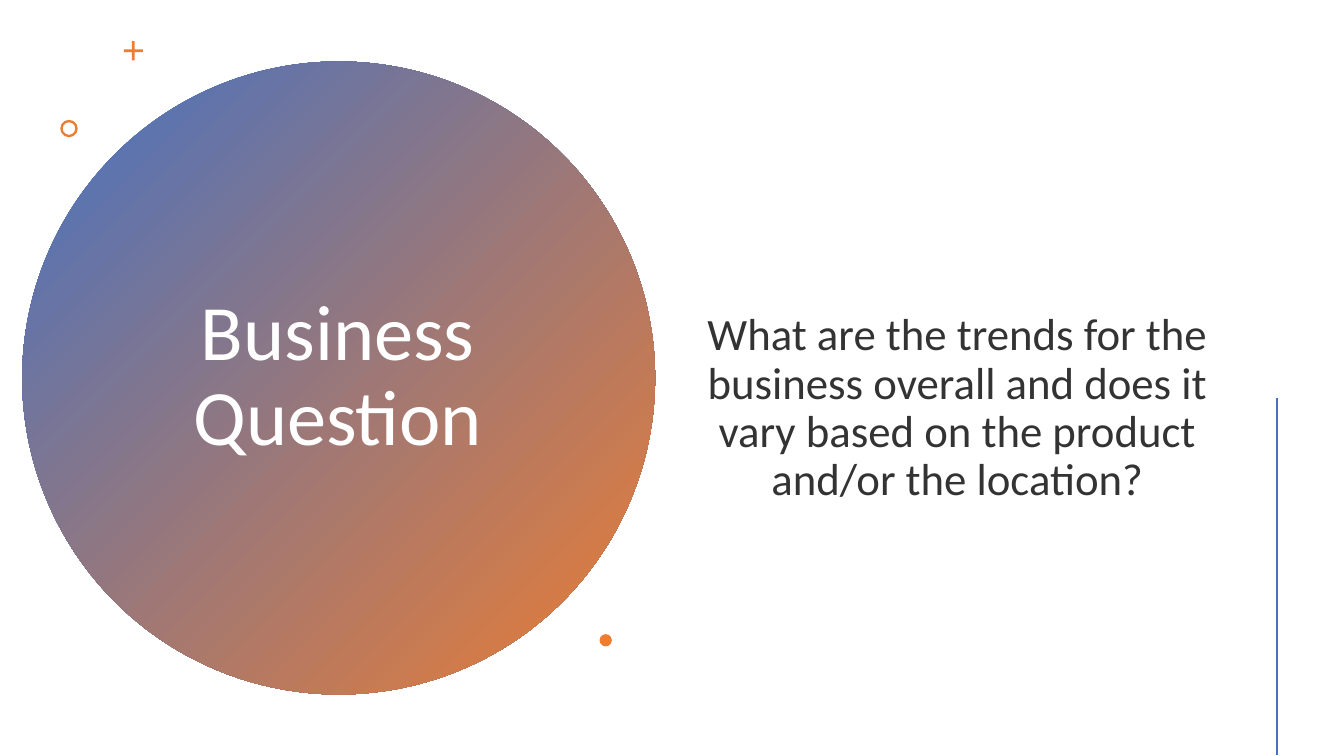
from lxml import etree
from pptx import Presentation
from pptx.dml.color import RGBColor
from pptx.enum.shapes import MSO_CONNECTOR, MSO_SHAPE as Preset
from pptx.enum.text import MSO_ANCHOR, MSO_AUTO_SIZE, PP_ALIGN
from pptx.oxml.ns import qn
from pptx.util import Cm, Pt

# Content (lengths in cm)
TITLE = "Business Question"
QUESTION = ("What are the trends for the business overall and does it "
            "vary based on the product and/or the location?")
BLUE, ORANGE, WHITE, INK = "4472C4", "ED7D31", "FFFFFF", "333333"
DISC = (0.56, 1.55, 15.95)  # left, top, diameter
TITLE_BOX = (3.45, 3.58, 10.13, 11.86)
QUESTION_BOX = (17.5, 7.3, 13.26, 6)
RULE = (32.18, 10.03, 32.18, 19.02)
ORNAMENTS = [  # preset, left, top, size, adjustment
    (Preset.CROSS, 3.12, 1.04, 0.48, 0.43),
    (Preset.DONUT, 1.52, 3.02, 0.44, 0.14),
    (Preset.OVAL, 15.11, 15.98, 0.31, None),
]


def rgb(code):
    return RGBColor.from_string(code)


def write(shape, text, size, color, font="Calibri", spacing=0.9):
    frame = shape.text_frame
    frame.word_wrap = True
    frame.auto_size = MSO_AUTO_SIZE.NONE
    frame.vertical_anchor = MSO_ANCHOR.MIDDLE
    paragraph = frame.paragraphs[0]
    paragraph.text = text
    paragraph.alignment = PP_ALIGN.CENTER
    paragraph.line_spacing = spacing
    paragraph.space_before = Pt(0)
    style = paragraph.font
    style.name, style.size, style.color.rgb = font, Pt(size), rgb(color)


def add_figure(preset, left, top, size):
    figure = slide.shapes.add_shape(preset, Cm(left), Cm(top), Cm(size), Cm(size))
    figure.shadow.inherit = False
    figure.line.fill.background()
    return figure


deck = Presentation()
deck.slide_width, deck.slide_height = Cm(33.87), Cm(19.05)
slide = deck.slides.add_slide(deck.slide_layouts[5])

# Gradient disc, blue at top left to orange at bottom right
disc = add_figure(Preset.OVAL, *DISC)
disc.fill.gradient()
disc.fill.gradient_angle = 315
for stop, position, color in zip(disc.fill.gradient_stops, (0, 1), (BLUE, ORANGE)):
    stop.position, stop.color.rgb = position, rgb(color)

# Title, brought in front of the disc
title = slide.shapes.title
title.left, title.top, title.width, title.height = map(Cm, TITLE_BOX)
write(title, TITLE, size=56, color=WHITE)
disc.element.addnext(title.element)

# Question
question = slide.shapes.add_textbox(*map(Cm, QUESTION_BOX))
write(question, QUESTION, size=32, color=INK)

# Small orange ornaments
for preset, left, top, size, adjustment in ORNAMENTS:
    ornament = add_figure(preset, left, top, size)
    ornament.fill.solid()
    ornament.fill.fore_color.rgb = rgb(ORANGE)
    if adjustment is not None:
        ornament.adjustments[0] = adjustment

# Vertical rule at the right
rule = slide.shapes.add_connector(MSO_CONNECTOR.STRAIGHT, *map(Cm, RULE))
rule.line.color.rgb = rgb(BLUE)
rule.line.width = Pt(2)
etree.SubElement(rule.element.spPr, qn("a:effectLst"))

deck.save("out.pptx")
